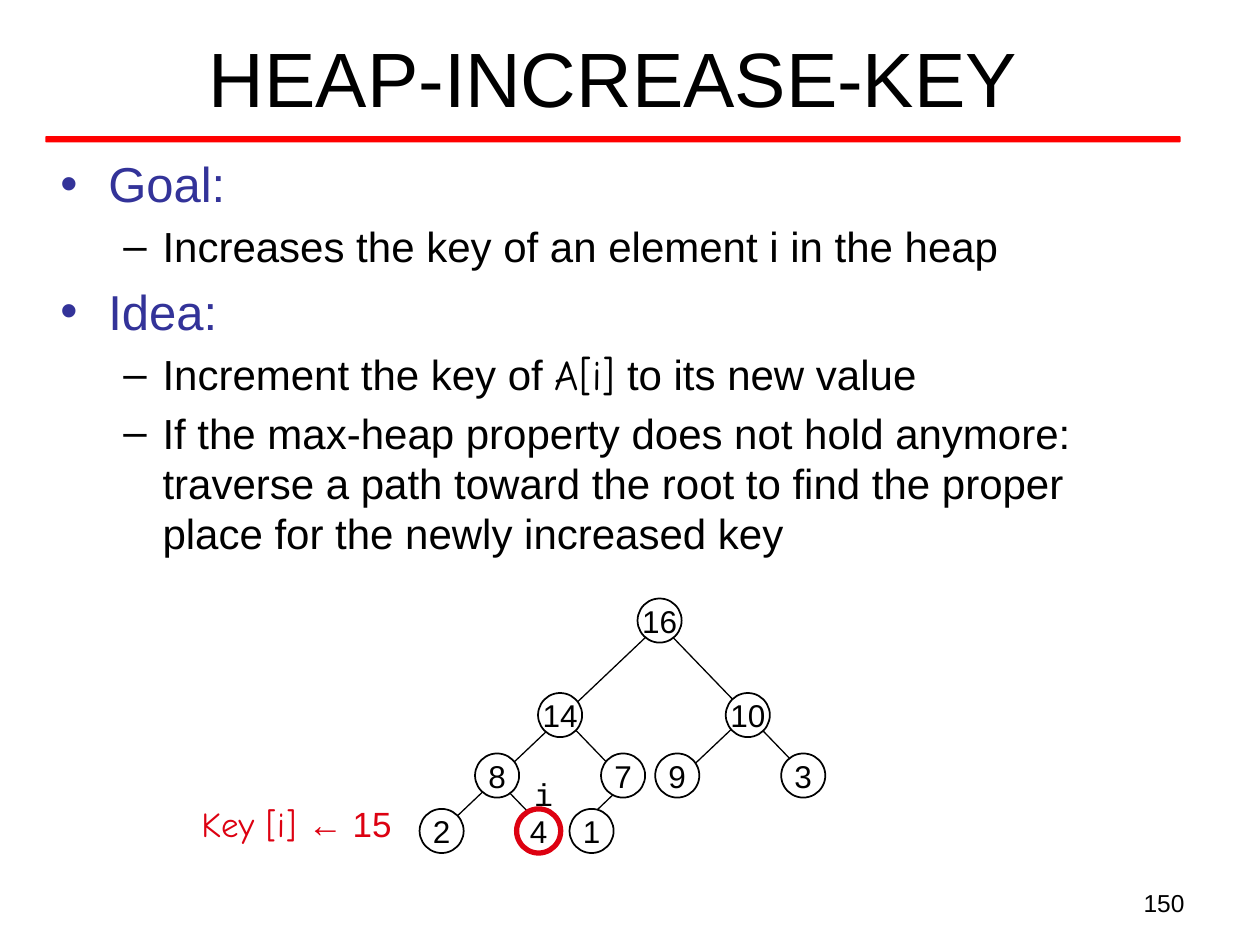
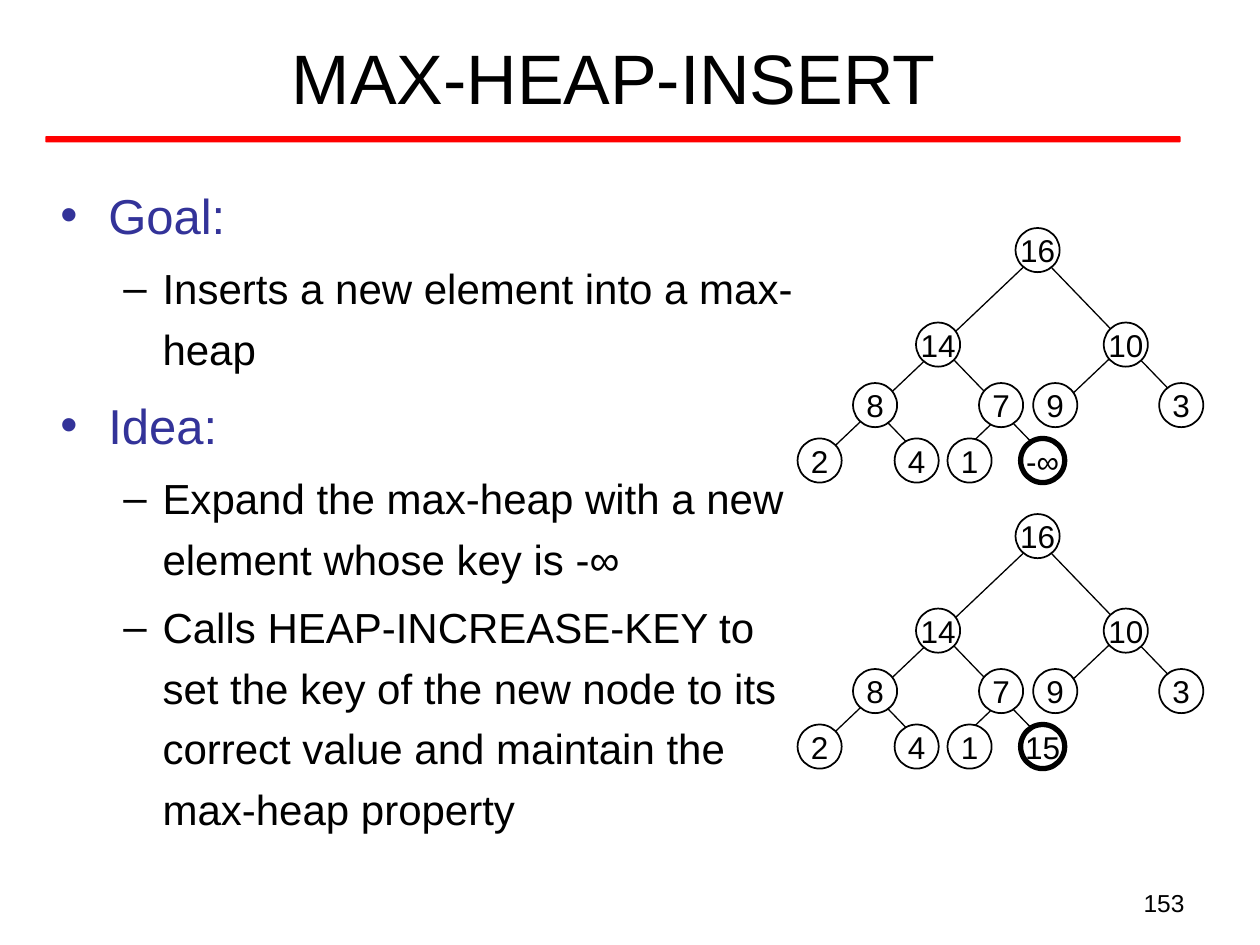
from lxml import etree
from pptx import Presentation
from pptx.dml.color import RGBColor
from pptx.enum.shapes import MSO_CONNECTOR, MSO_SHAPE
from pptx.enum.text import MSO_ANCHOR, MSO_AUTO_SIZE, PP_ALIGN
from pptx.oxml.ns import qn
from pptx.util import Inches, Pt

ELLIPSE, ROUNDED = MSO_SHAPE.OVAL, MSO_SHAPE.ROUNDED_RECTANGLE
STRAIGHT = MSO_CONNECTOR.STRAIGHT
LEFT, CENTER, RIGHT = PP_ALIGN.LEFT, PP_ALIGN.CENTER, PP_ALIGN.RIGHT
MIDDLE, TOP = MSO_ANCHOR.MIDDLE, MSO_ANCHOR.TOP
NO_FIT = MSO_AUTO_SIZE.NONE

BLACK, WHITE, RED, BLUE, CRIMSON = "000000", "FFFFFF", "FF0000", "333399", "DD0111"
SANS, COMIC, MONO = "Arial", "Comic Neue", "Courier New"

# Bullet, left margin, hanging indent, size and colour of each list level
LEVELS = [("•", 0.38, 0.38, 28, BLUE), ("–", 0.81, 0.31, 24, BLACK)]

# Heap layout: rows from the heap's top, columns from its left
NODE_SIZE = 0.35
ROWS = [0, 0.75, 1.23, 1.67]
NODES = [("16", 1.73, 0), ("14", 0.94, 1), ("10", 2.43, 1),
         ("8", 0.44, 2), ("7", 1.44, 2), ("9", 1.87, 2), ("3", 2.87, 2),
         ("2", 0, 3), ("4", 0.77, 3), ("1", 1.19, 3)]
EDGES = [(1.24, 1.84, 1.69, 1.41), (2.05, 1.44, 2.61, 0.91),
         (1.04, 1.88, 0.5, 1.32), (1.63, 1.45, 1.09, 0.89),
         (3.14, 1.48, 1.8, 0.09), (0.19, 1.83, 1.94, 0.17)]
NEW_COLUMN = 1.77
NEW_EDGE = (2.04, 1.89, 1.5, 1.33)


def rgb(value):
    return RGBColor.from_string(value)


def place(shape, box):
    shape.left, shape.top, shape.width, shape.height = map(Inches, box)


def write(para, text, font=SANS, size=18, color=BLACK, align=LEFT):
    """Add text to a paragraph; text is a string or (text, font) pairs."""
    para.alignment = align
    for words, face in [(text, font)] if isinstance(text, str) else text:
        span = para.add_run()
        span.text = words
        span.font.name = face
        span.font.size = Pt(size)
        span.font.color.rgb = rgb(color)


def add_text(page, box, text, wrap=True, **style):
    label = page.shapes.add_textbox(*map(Inches, box))
    label.text_frame.word_wrap = wrap
    write(label.text_frame.paragraphs[0], text, **style)


def add_line(page, start, end):
    line = page.shapes.add_connector(STRAIGHT, *map(Inches, start + end))
    line.line.color.rgb = rgb(BLACK)
    line.line.width = Pt(0.75)
    etree.SubElement(line.element.spPr, qn("a:effectLst"))


def add_filled(page, kind, box, fill):
    shape = page.shapes.add_shape(kind, *map(Inches, box))
    shape.shadow.inherit = False
    shape.fill.solid()
    shape.fill.fore_color.rgb = rgb(fill)
    return shape


def add_node(page, left, top, key, color=BLACK, weight=1):
    node = add_filled(page, ELLIPSE, (left, top, NODE_SIZE, NODE_SIZE), WHITE)
    node.line.color.rgb = rgb(color)
    node.line.width = Pt(weight)
    frame = node.text_frame
    frame.word_wrap = False
    frame.vertical_anchor = MIDDLE
    write(frame.paragraphs[0], key, align=CENTER)


def add_heap(page, left, top, new_key=None, changed_key=None):
    """Draw the heap, with a bold new node or a changed node ringed in red."""
    nodes = [(key, column, row, CRIMSON, 3) if key == changed_key
             else (key, column, row, BLACK, 1) for key, column, row in NODES]
    edges = list(EDGES)
    if new_key:
        nodes.append((new_key, NEW_COLUMN, 3, BLACK, 3))
        edges.append(NEW_EDGE)
    for x1, y1, x2, y2 in edges:
        add_line(page, (left + x1, top + y1), (left + x2, top + y2))
    for key, column, row, color, weight in nodes:
        add_node(page, left + column, top + ROWS[row], key, color, weight)


def set_bullet(para, mark, margin, hanging):
    properties = para._p.get_or_add_pPr()
    properties.set("marL", str(Inches(margin)))
    properties.set("indent", str(-Inches(hanging)))
    font = etree.SubElement(properties, qn("a:buFont"))
    font.set("typeface", SANS)
    etree.SubElement(properties, qn("a:buChar")).set("char", mark)


def fill_body(body, box, items, line_spacing):
    place(body, box)
    frame = body.text_frame
    frame.auto_size = NO_FIT
    frame.vertical_anchor = TOP
    for index, (level, text) in enumerate(items):
        para = frame.add_paragraph() if index else frame.paragraphs[0]
        mark, margin, hanging, size, color = LEVELS[level]
        para.level = level
        set_bullet(para, mark, margin, hanging)
        para.line_spacing = line_spacing
        para.space_before = Pt(0.2 * size if index else 0)
        write(para, text, size=size, color=color)


def add_page(deck, title, title_size, number, body_box, items, line_spacing=1.0):
    """Add a slide with title, red rule, bulleted list and slide number."""
    page = deck.slides.add_slide(deck.slide_layouts[1])
    rule = add_filled(page, ROUNDED, (0.36, 1.08, 9.01, 0.05), RED)
    rule.line.fill.background()
    heading = page.shapes.title
    place(heading, (0.37, 0.11, 9, 0.99))
    heading.text_frame.auto_size = NO_FIT
    heading.text_frame.vertical_anchor = MIDDLE
    write(heading.text_frame.paragraphs[0], title, size=title_size, align=CENTER)
    fill_body(page.placeholders[1], body_box, items, line_spacing)
    add_text(page, (7.17, 7, 2.33, 0.35), number, size=14, align=RIGHT)
    return page


def add_increase_key_page(deck):
    page = add_page(deck, "HEAP-INCREASE-KEY", 44, "150", (0.38, 1.17, 9, 5.55), [
        (0, "Goal:"),
        (1, "Increases the key of an element i in the heap"),
        (0, "Idea:"),
        (1, [("Increment the key of ", SANS), ("A[i]", COMIC),
             (" to its new value", SANS)]),
        (1, "If the max-heap property does not hold anymore: traverse a path "
            "toward the root to find the proper place for the newly "
            "increased key"),
    ])
    add_heap(page, 3.33, 4.75, changed_key="4")
    add_text(page, (4.14, 6.1, 0.26, 0.4), "i", wrap=False, font=MONO)
    add_text(page, (1.5, 6.32, 1.78, 0.43), [("Key [i] ", COMIC), ("← 15", SANS)],
             wrap=False, size=20, color=CRIMSON)


def add_insert_page(deck):
    page = add_page(deck, "MAX-HEAP-INSERT", 40, "153", (0.38, 1.33, 6.12, 5.84), [
        (0, "Goal:"),
        (1, "Inserts a new element into a max-heap"),
        (0, "Idea:"),
        (1, "Expand the max-heap with a new element whose key is -∞"),
        (1, "Calls HEAP-INCREASE-KEY to set the key of the new node to its "
            "correct value and maintain the max-heap property"),
    ], line_spacing=1.2)
    for top, new_key in ((1.81, "-∞"), (4.08, "15")):
        add_heap(page, 6.33, top, new_key=new_key)


def main():
    deck = Presentation()
    deck.slide_width, deck.slide_height = Inches(10), Inches(7.5)
    add_increase_key_page(deck)
    add_insert_page(deck)
    deck.save("out.pptx")


if __name__ == "__main__":
    main()
